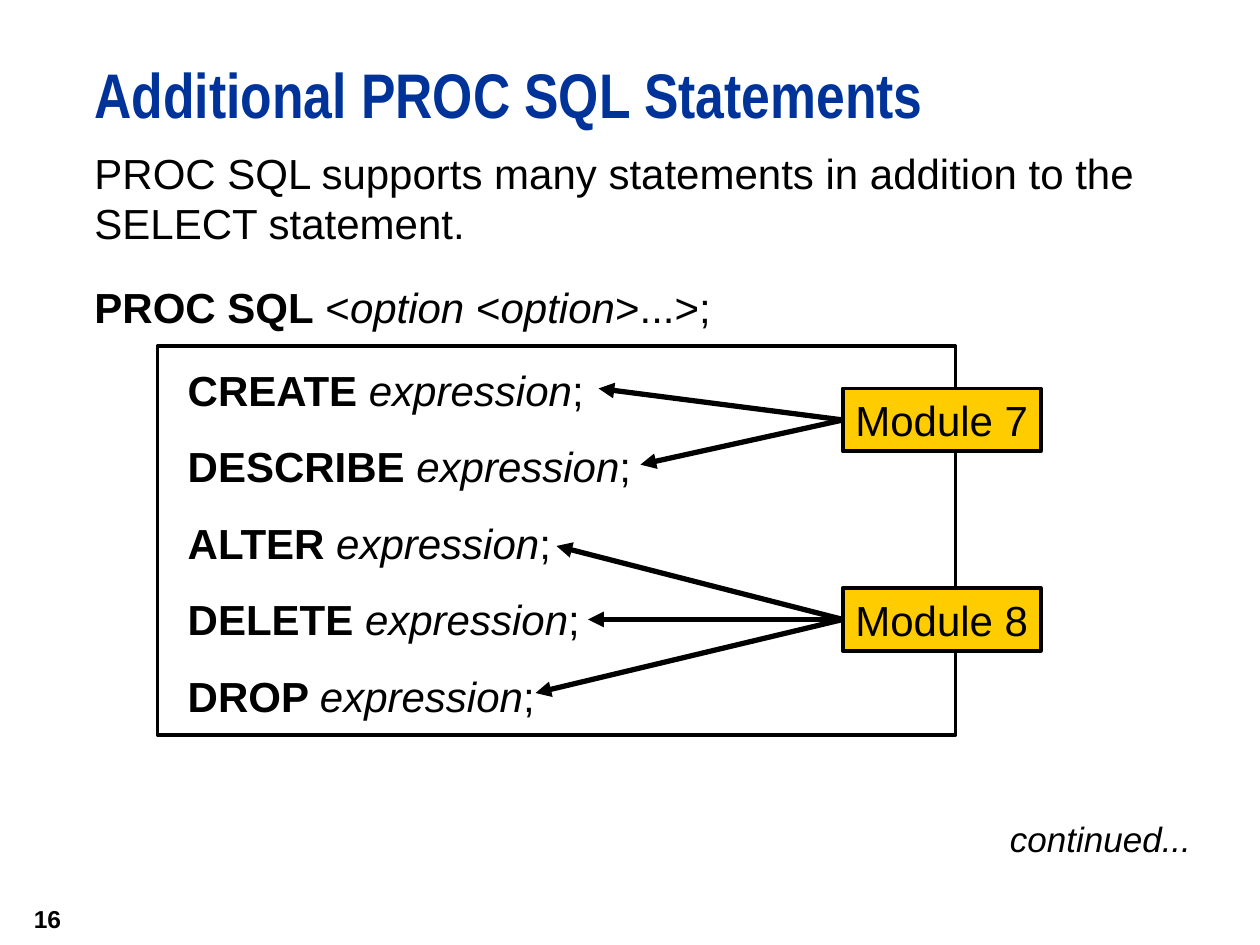
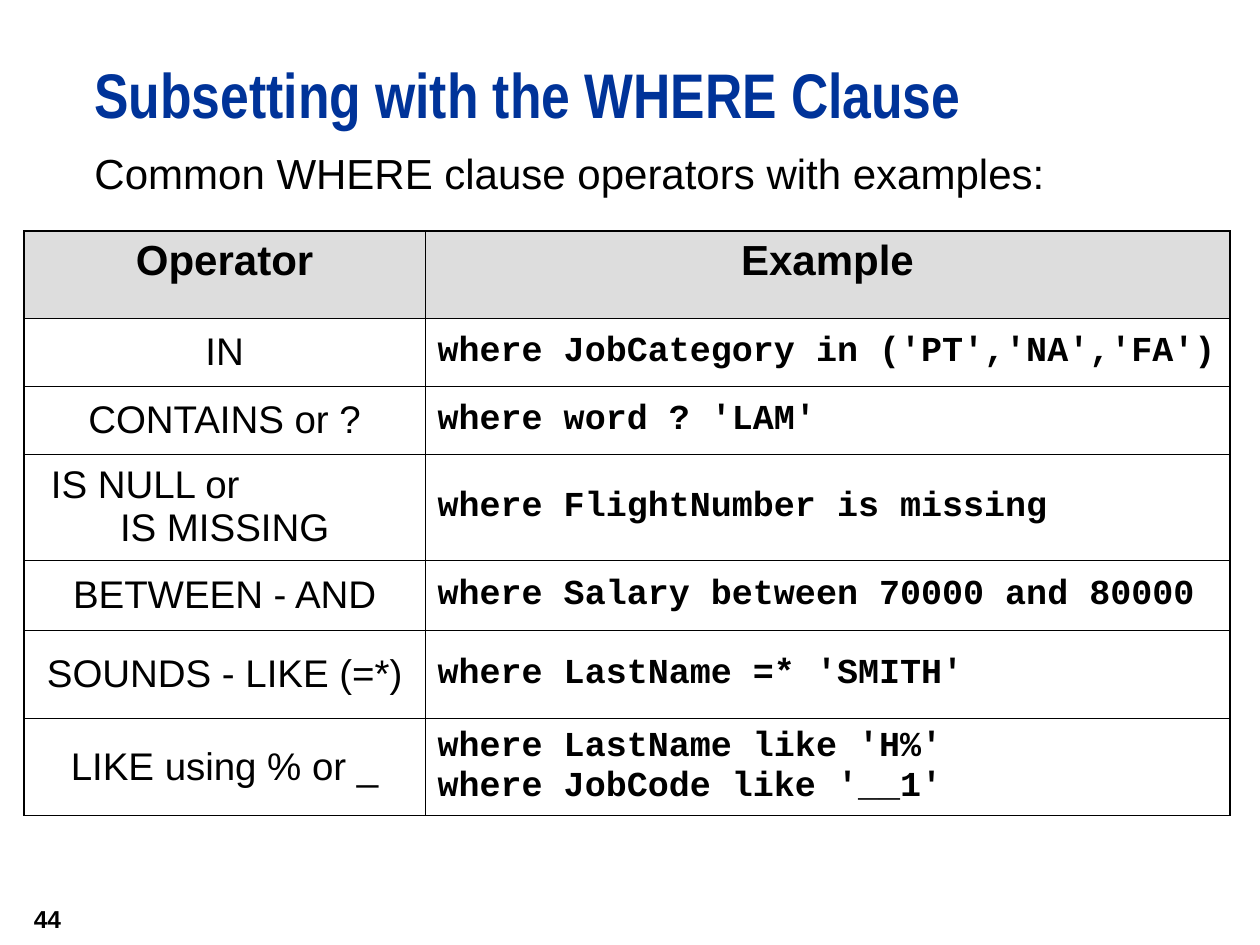
from pptx import Presentation
from pptx.dml.color import RGBColor
from pptx.enum.shapes import MSO_CONNECTOR as Link, MSO_SHAPE as Kind
from pptx.enum.text import MSO_ANCHOR as Anchor, PP_ALIGN as Align
from pptx.oxml.ns import qn
from pptx.util import Pt
from lxml.etree import SubElement as Sub

NAVY = RGBColor(0x00, 0x33, 0x99)
GOLD = RGBColor(0xFF, 0xCC, 0x00)
GRAY = RGBColor(0xDD, 0xDD, 0xDD)
BLACK = RGBColor(0, 0, 0)
WHITE = RGBColor(255, 255, 255)
SANS, NARROW, MONO = "Arial", "Arial Narrow", "Courier New"
LEAD = 1.2
PAD = (7.2, 3.6, 0, 3.6)
THICK, THIN = 1.08, 0.45

INTRO = "PROC SQL supports many statements in addition to the SELECT statement."
SYNTAX = [("PROC SQL", "b"), (" <", ""), ("option", "i"), (" <", ""),
          ("option", "i"), (">...>;", "")]
WORDS = ["CREATE", "DESCRIBE", "ALTER", "DELETE", "DROP"]
MODULES = [
    ("Module 7", 222, [(342, 222), (366, 265.5)]),
    ("Module 8", 336, [(318, 312), (336, 354), (306, 396)]),
]
TIPS = [(318, 312), (336, 354), (306, 396)]
MODULES[1] = ("Module 8", 336, TIPS)

HEADS = ["Operator", "Example"]
ROWS = [
    (38.9, ["IN"], ["where JobCategory in ('PT','NA','FA')"]),
    (38.9, ["CONTAINS or ?"], ["where word ? 'LAM'"]),
    (60.5, ["IS NULL or", "IS MISSING"], ["where FlightNumber is missing"]),
    (40.3, ["BETWEEN - AND"], ["where Salary between 70000 and 80000"]),
    (50.4, ["SOUNDS - LIKE (=*)"], ["where LastName =* 'SMITH'"]),
    (55.4, ["LIKE using % or _"],
     ["where LastName like 'H%'", "where JobCode like '__1'"]),
]
HEAD_H = 49.7
COLS = [229, 460]


def style(font, size, name=SANS, color=BLACK, bold=None, slant=None):
    font.size, font.name, font.color.rgb = Pt(size), name, color
    font.bold, font.italic = bold, slant


def write(frame, paras, size, lead=None, gap=0, align=Align.LEFT, **look):
    for n, runs in enumerate(paras):
        para = frame.paragraphs[0] if n == 0 else frame.add_paragraph()
        para.alignment = align
        if lead:
            para.line_spacing = Pt(lead)
        if n:
            para.space_before = Pt(gap)
        style(para.font, size, **look)
        for text, mark in [(runs, "")] if isinstance(runs, str) else runs:
            run = para.add_run()
            run.text = text
            if mark:
                run.font.bold, run.font.italic = mark == "b", mark == "i"


def inset(frame, pads, anchor=Anchor.TOP):
    frame.word_wrap, frame.vertical_anchor = True, anchor
    (frame.margin_left, frame.margin_top,
     frame.margin_right, frame.margin_bottom) = map(Pt, pads)


def label(slide, area, paras, size, pads=(0, 0, 0, 0),
          anchor=Anchor.TOP, **look):
    frame = slide.shapes.add_textbox(*map(Pt, area)).text_frame
    inset(frame, pads, anchor)
    write(frame, paras, size, **look)


def panel(slide, area, fill):
    box = slide.shapes.add_shape(Kind.RECTANGLE, *map(Pt, area))
    box.shadow.inherit = False
    box.fill.solid()
    box.fill.fore_color.rgb = fill
    box.line.color.rgb, box.line.width = BLACK, Pt(2.25)
    return box


def arrow(slide, box, x, y):
    line = slide.shapes.add_connector(Link.STRAIGHT, 0, 0, Pt(x), Pt(y))
    line.begin_connect(box, 1)
    line.line.color.rgb, line.line.width = BLACK, Pt(3)
    Sub(line.line._get_or_add_ln(), qn("a:tailEnd"), type="triangle")
    Sub(line._element.spPr, qn("a:effectLst"))


def page(deck, title, number):
    slide = deck.slides.add_slide(deck.slide_layouts[6])
    label(slide, (54, 36, 666, 54), [title], 36, lead=39,
          name=NARROW, color=NAVY, bold=True)
    label(slide, (0, 510, 42, 30), [number], 14, (7.2, 3.6, 7.2, 3.6),
          Anchor.MIDDLE, align=Align.RIGHT, bold=True)
    return slide


def edge(cell, widths):
    props = cell._tc.get_or_add_tcPr()
    for side, width in zip("LRTB", widths):
        line = Sub(props, qn("a:ln" + side), w=str(Pt(width)))
        Sub(Sub(line, qn("a:solidFill")), qn("a:srgbClr"), val=str(BLACK))


def statements(deck):
    slide = page(deck, "Additional PROC SQL Statements", "16")
    lead = 24 * LEAD
    label(slide, (54, 84.2, 612, 324), [INTRO, SYNTAX], 24,
          lead=lead, gap=16 * LEAD)
    label(slide, (570, 463.7, 118, 31.7), ["continued..."], 20, PAD,
          lead=20 * LEAD, slant=True)
    panel(slide, (90, 198, 456, 222), WHITE)
    lines = [[(word + " ", "b"), ("expression", "i"), (";", "")]
             for word in WORDS]
    label(slide, (107.3, 208, 260, 204), lines, 24, lead=lead, gap=15)
    for name, top, tips in MODULES:
        box = panel(slide, (481.7, top, 113, 36), GOLD)
        inset(box.text_frame, PAD)
        write(box.text_frame, [name], 24, lead=lead)
        for tip in tips:
            arrow(slide, box, *tip)


def operators(deck):
    slide = page(deck, "Subsetting with the WHERE Clause", "44")
    label(slide, (54, 84.2, 618, 336),
          ["Common WHERE clause operators with examples:"], 24,
          lead=24 * LEAD)
    heights = [HEAD_H] + [row[0] for row in ROWS]
    grid = slide.shapes.add_table(len(heights), 2, Pt(13.9), Pt(132),
                                  Pt(sum(COLS)), Pt(sum(heights))).table
    grid.first_row = grid.horz_banding = False
    for col, width in zip(grid.columns, COLS):
        col.width = Pt(width)
    last = len(ROWS)
    for r, height in enumerate(heights):
        grid.rows[r].height = Pt(height)
        for c in range(2):
            cell = grid.cell(r, c)
            outer = (c == 0, c == 1, r == 0, r == last)
            edge(cell, [THICK if out else THIN for out in outer])
            cell.fill.solid()
            cell.fill.fore_color.rgb = WHITE if r else GRAY
            frame = cell.text_frame
            if r == 0:
                write(frame, [HEADS[c]], 24, align=Align.CENTER, bold=True)
                continue
            cell.vertical_anchor = Anchor.MIDDLE
            paras = ROWS[r - 1][c + 1]
            if c:
                write(frame, paras, 20, name=MONO, bold=True)
                continue
            write(frame, paras, 22, align=Align.CENTER)
            if len(paras) > 1:
                first = frame.paragraphs[0]
                first.alignment = Align.LEFT
                first._p.get_or_add_pPr().set("marL", str(Pt(8)))


def main():
    deck = Presentation()
    deck.slide_width, deck.slide_height = Pt(720), Pt(540)
    statements(deck)
    operators(deck)
    deck.save("out.pptx")


if __name__ == "__main__":
    main()
